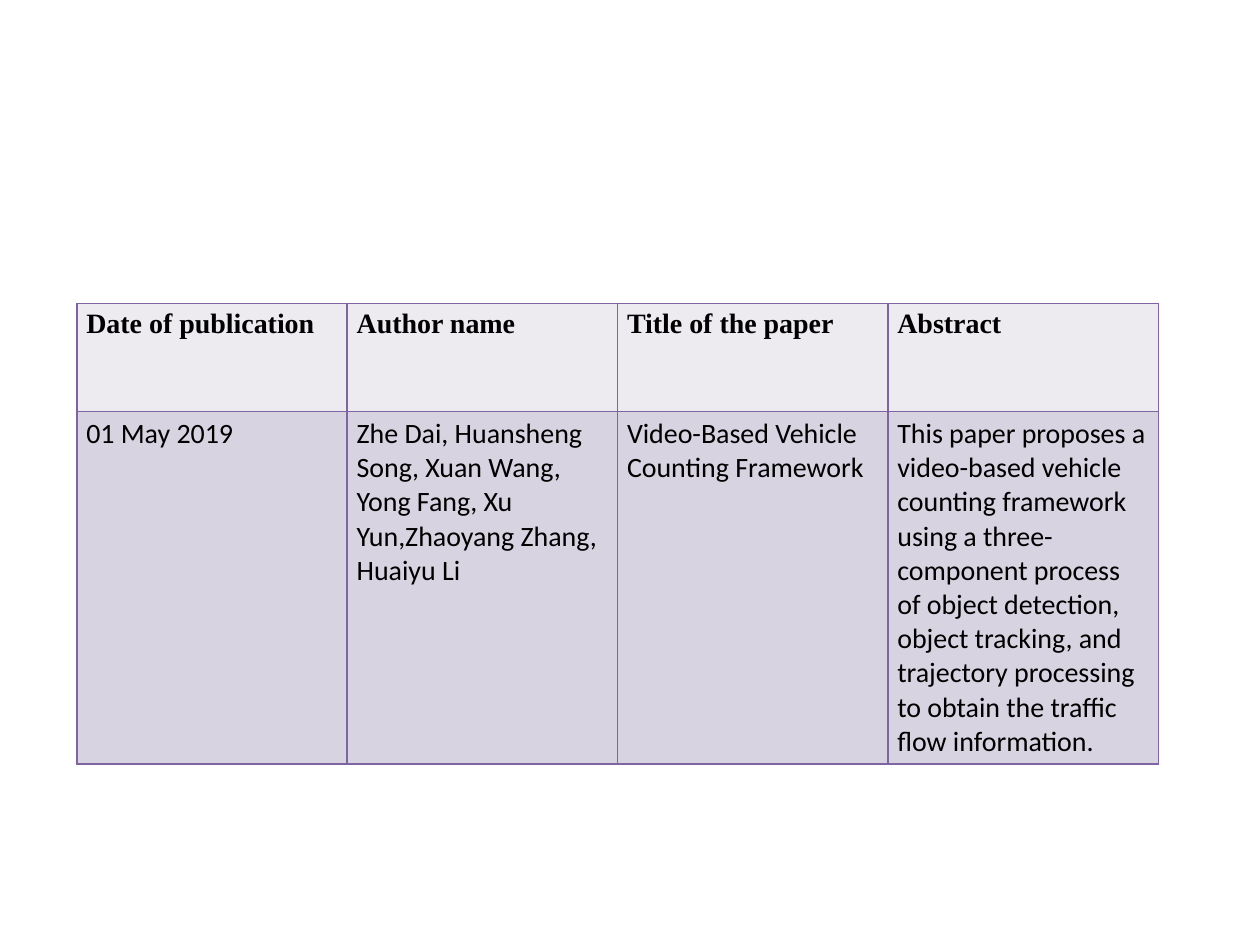
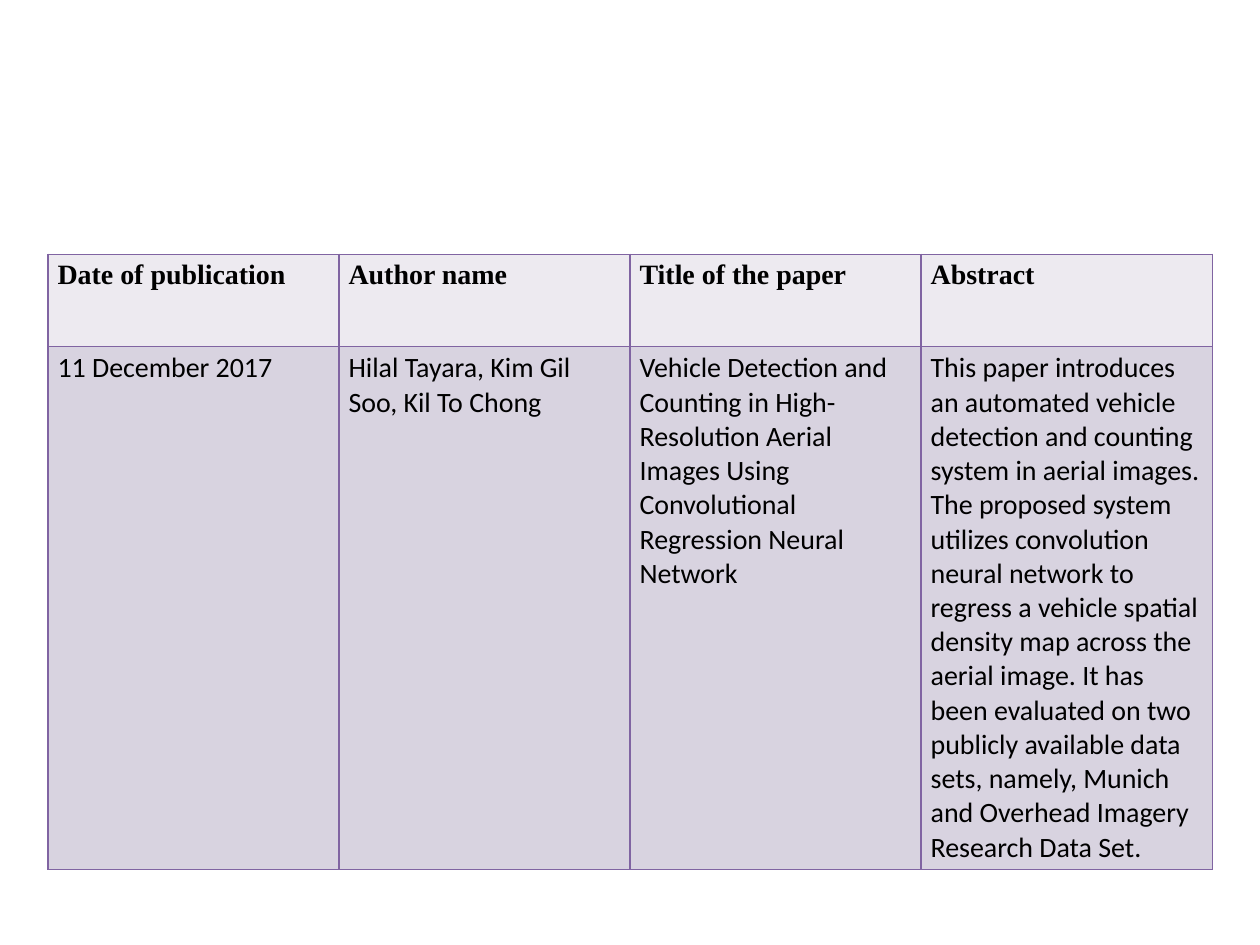
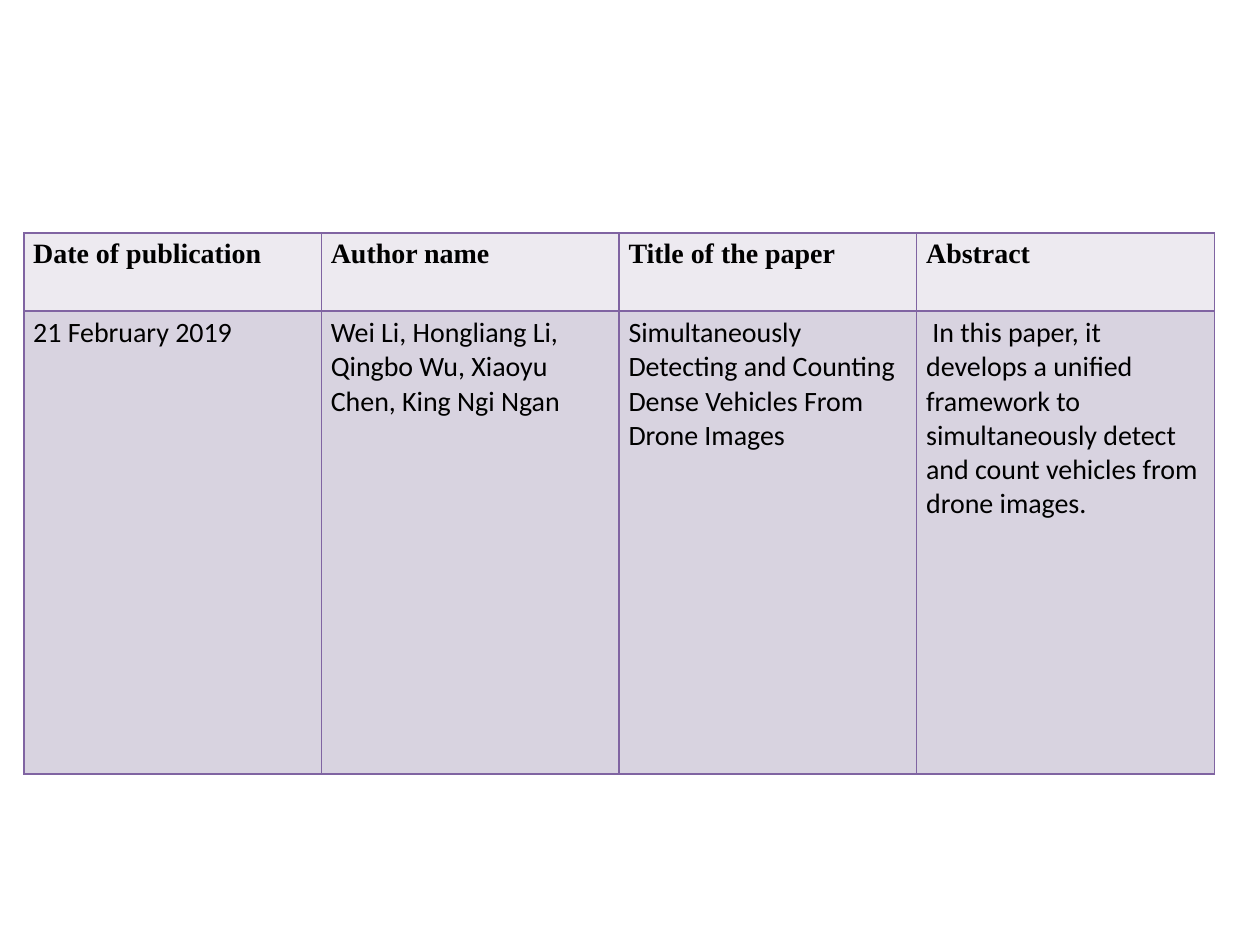
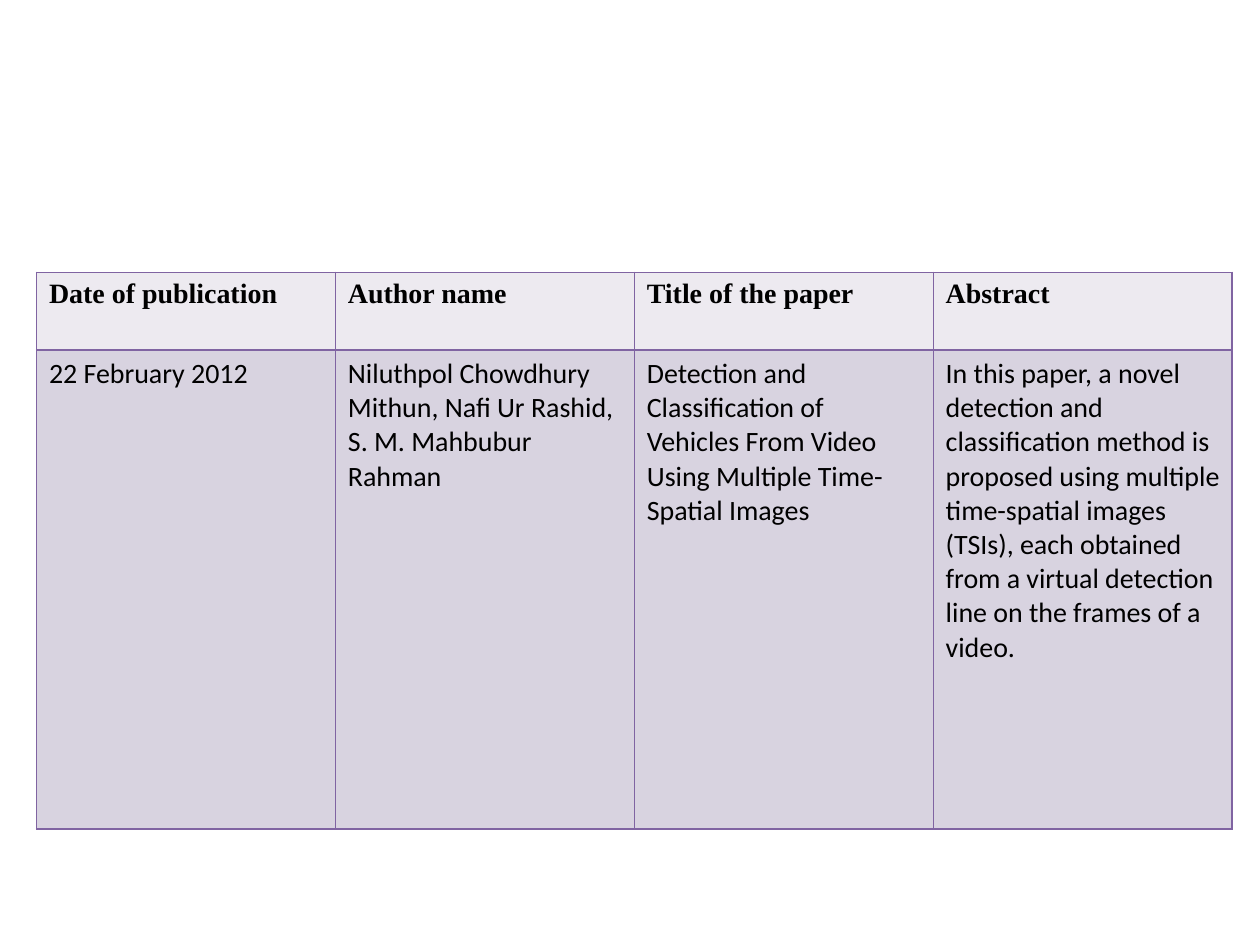
from lxml.etree import SubElement
from pptx import Presentation
from pptx.dml.color import RGBColor
from pptx.oxml.ns import qn
from pptx.util import Cm, Pt

BORDER, INK = "8064A2", "000000"
HEADINGS = ["Date of publication", "Author name", "Title of the paper", "Abstract"]
# One style for each table row: fill, font, bold
ROW_STYLES = [("EDEAF0", "Times New Roman", True), ("D8D3E0", "Calibri", False)]
NARROW, WIDE = (0.19, 0.1), (0.25, 0.13)

# Lengths in cm; margins are (side, top and bottom)
PAPERS = [
    {
        "left": 1.55, "top": 6.12, "width": 21.8, "heights": (2.18, 7.06), "margins": NARROW,
        "details": [
            "01 May 2019",
            "Zhe Dai, Huansheng Song, Xuan Wang, Yong Fang, Xu Yun,Zhaoyang Zhang, Huaiyu Li",
            "Video-Based Vehicle Counting Framework",
            "This paper proposes a video-based vehicle counting framework using a "
            "three-component process of object detection, object tracking, and trajectory "
            "processing to obtain the traffic flow information.",
        ],
    },
    {
        "left": 0.97, "top": 5.13, "width": 23.47, "heights": (1.85, 10.34), "margins": NARROW,
        "details": [
            "11 December 2017",
            "Hilal Tayara, Kim Gil Soo, Kil To Chong",
            "Vehicle Detection and Counting in High-Resolution Aerial Images Using "
            "Convolutional Regression Neural Network",
            "This paper introduces an automated vehicle detection and counting system in "
            "aerial images. The proposed system utilizes convolution neural network to "
            "regress a vehicle spatial density map across the aerial image. It has been "
            "evaluated on two publicly available data sets, namely, Munich and Overhead "
            "Imagery Research Data Set.",
        ],
    },
    {
        "left": 0.48, "top": 4.7, "width": 24, "heights": (1.57, 9.33), "margins": NARROW,
        "details": [
            "21 February 2019",
            "Wei Li, Hongliang Li, Qingbo Wu, Xiaoyu Chen, King Ngi Ngan",
            "Simultaneously Detecting and Counting Dense Vehicles From Drone Images",
            " In this paper, it develops a unified framework to simultaneously detect "
            "and count vehicles from drone images.",
        ],
    },
    {
        "left": 0.74, "top": 5.49, "width": 24.1, "heights": (1.57, 9.65), "margins": WIDE,
        "details": [
            "22 February 2012",
            "Niluthpol Chowdhury Mithun, Nafi Ur Rashid, S. M. Mahbubur Rahman",
            "Detection and Classification of Vehicles From Video Using Multiple "
            "Time-Spatial Images",
            "In this paper, a novel detection and classification method is proposed using "
            "multiple time-spatial images (TSIs), each obtained from a virtual detection "
            "line on the frames of a video.",
        ],
    },
]


def color(code):
    return RGBColor.from_string(code)


def add_borders(cell):
    properties = cell._tc.get_or_add_tcPr()
    for side in ("a:lnL", "a:lnR", "a:lnT", "a:lnB"):
        line = SubElement(properties, qn(side), w=str(Pt(1)))
        SubElement(SubElement(line, qn("a:solidFill")), qn("a:srgbClr"), val=BORDER)


def fill_cell(cell, text, row_style, margins):
    fill, font_name, bold = row_style
    add_borders(cell)
    cell.fill.solid()
    cell.fill.fore_color.rgb = color(fill)
    side, edge = margins
    cell.margin_left = cell.margin_right = Cm(side)
    cell.margin_top = cell.margin_bottom = Cm(edge)
    run = cell.text_frame.paragraphs[0].add_run()
    run.text = text
    run.font.name = font_name
    run.font.size = Pt(16)
    run.font.bold = bold
    run.font.color.rgb = color(INK)


def add_paper_slide(deck, paper):
    slide = deck.slides.add_slide(deck.slide_layouts[6])
    heights = paper["heights"]
    table = slide.shapes.add_table(
        len(heights), len(HEADINGS), Cm(paper["left"]), Cm(paper["top"]),
        Cm(paper["width"]), Cm(sum(heights))).table
    table.first_row = table.horz_banding = False
    for row, height, texts, row_style in zip(
            table.rows, heights, (HEADINGS, paper["details"]), ROW_STYLES):
        row.height = Cm(height)
        for cell, text in zip(row.cells, texts):
            fill_cell(cell, text, row_style, paper["margins"])


def main():
    deck = Presentation()
    deck.slide_width, deck.slide_height = Cm(25.4), Cm(19.05)
    for paper in PAPERS:
        add_paper_slide(deck, paper)
    deck.save("out.pptx")


if __name__ == "__main__":
    main()
